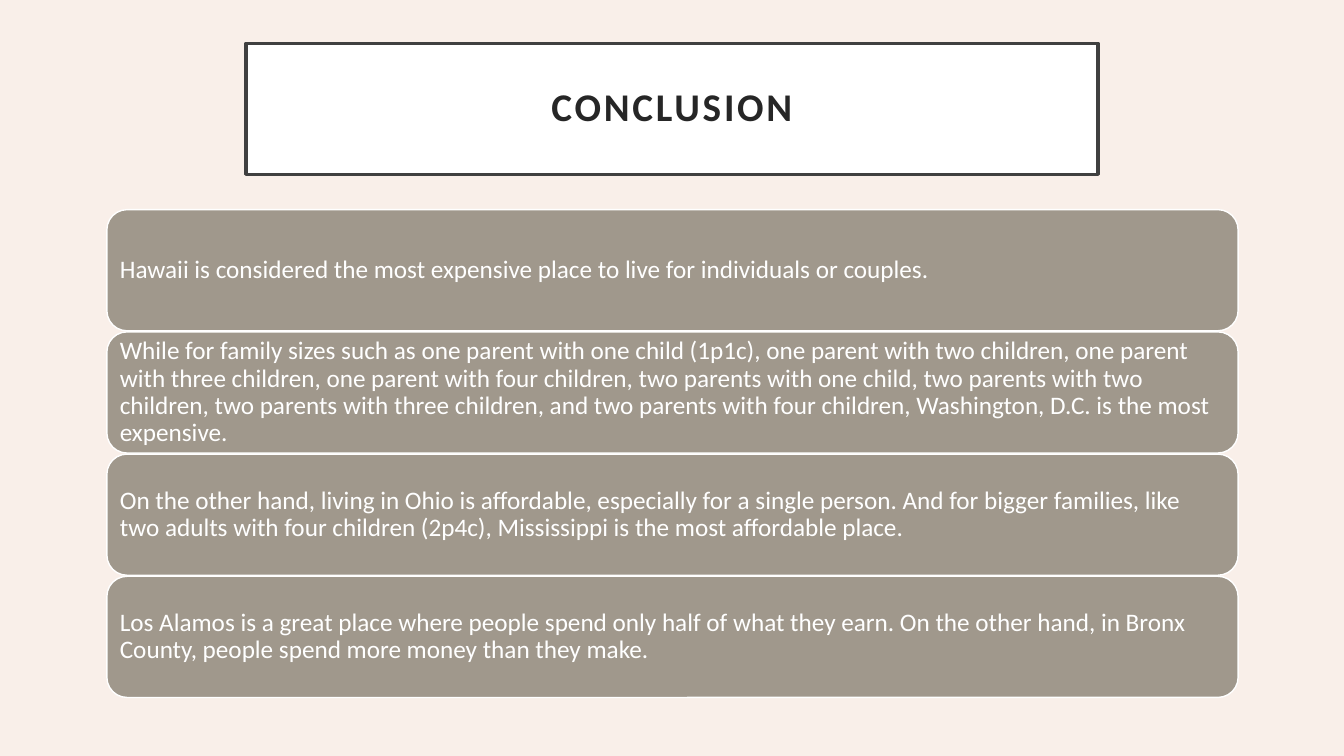
from lxml import etree
from pptx import Presentation
from pptx import util as u
from pptx.dml.color import RGBColor
from pptx.enum import shapes, text
from pptx.oxml.ns import qn

COLORS = {
    "backdrop": "F5E0D5",
    "title_fill": "FFFFFF",
    "title_line": "404040",
    "title_text": "262626",
    "card_fill": "A0988C",
    "card_line": "FFFFFF",
    "card_text": "FFFFFF",
}
FONT = "Calibri"
SLIDE_WIDTH, SLIDE_HEIGHT = 13.33, 7.5
TITLE_BOX = (2.44, 0.43, 8.45, 1.3)
CARDS_BOX = (1.06, 2.08, 11.22, 4.84)
CARD_GAP = 0.01

FINDINGS = [
    "Hawaii is considered the most expensive place to live for individuals or couples.",
    "While for family sizes such as one parent with one child (1p1c), one parent with two "
    "children, one parent with three children, one parent with four children, two parents "
    "with one child, two parents with two children, two parents with three children, and "
    "two parents with four children, Washington, D.C. is the most expensive.",
    "On the other hand, living in Ohio is affordable, especially for a single person. And "
    "for bigger families, like two adults with four children (2p4c), Mississippi is the "
    "most affordable place.",
    "Los Alamos is a great place where people spend only half of what they earn. On the "
    "other hand, in Bronx County, people spend more money than they make.",
]


def rgb(name):
    return RGBColor.from_string(COLORS[name])


def add_panel(slide, kind, box, fill, line, line_width):
    panel = slide.shapes.add_shape(kind, *(u.Inches(length) for length in box))
    panel.shadow.inherit = False
    panel.fill.solid()
    panel.fill.fore_color.rgb = rgb(fill)
    panel.line.color.rgb = rgb(line)
    panel.line.width = u.Pt(line_width)
    return panel


def write(panel, words, *, size, color, inset, align=text.PP_ALIGN.LEFT,
          bold=False, tracking=0):
    frame = panel.text_frame
    frame.word_wrap = True
    frame.vertical_anchor = text.MSO_ANCHOR.MIDDLE
    frame.margin_left = frame.margin_right = u.Inches(inset)
    frame.margin_top = frame.margin_bottom = u.Inches(inset)
    paragraph = frame.paragraphs[0]
    paragraph.alignment = align
    paragraph.line_spacing = 0.9
    run = paragraph.add_run()
    run.text = words
    run.font.name = FONT
    run.font.size = u.Pt(size)
    run.font.bold = bold
    run.font.color.rgb = rgb(color)
    if tracking:
        run.font._element.set("spc", str(tracking * 100))


def paint_background(slide):
    fill = slide.background.fill
    fill.solid()
    fill.fore_color.rgb = rgb("backdrop")
    # Half-transparent backdrop colour
    for color in slide.background._cSld.iter(qn("a:srgbClr")):
        etree.SubElement(color, qn("a:alpha")).set("val", "50000")
        break


def add_title(slide, box):
    title = add_panel(slide, shapes.MSO_SHAPE.RECTANGLE, box,
                      "title_fill", "title_line", 2.5)
    write(title, "CONCLUSION", size=28, color="title_text", inset=0.2,
          align=text.PP_ALIGN.CENTER, bold=True, tracking=2)


def add_findings(slide, box):
    left, top, width, height = box
    pitch = (height + CARD_GAP) / len(FINDINGS)
    for row, finding in enumerate(FINDINGS):
        card_box = (left, top + row * pitch, width, pitch - CARD_GAP)
        card = add_panel(slide, shapes.MSO_SHAPE.ROUNDED_RECTANGLE, card_box,
                         "card_fill", "card_line", 1)
        write(card, finding, size=18, color="card_text", inset=0.07)


def main():
    deck = Presentation()
    deck.slide_width = u.Inches(SLIDE_WIDTH)
    deck.slide_height = u.Inches(SLIDE_HEIGHT)
    slide = deck.slides.add_slide(deck.slide_layouts[6])
    paint_background(slide)
    add_title(slide, TITLE_BOX)
    add_findings(slide, CARDS_BOX)
    deck.save("out.pptx")


if __name__ == "__main__":
    main()
